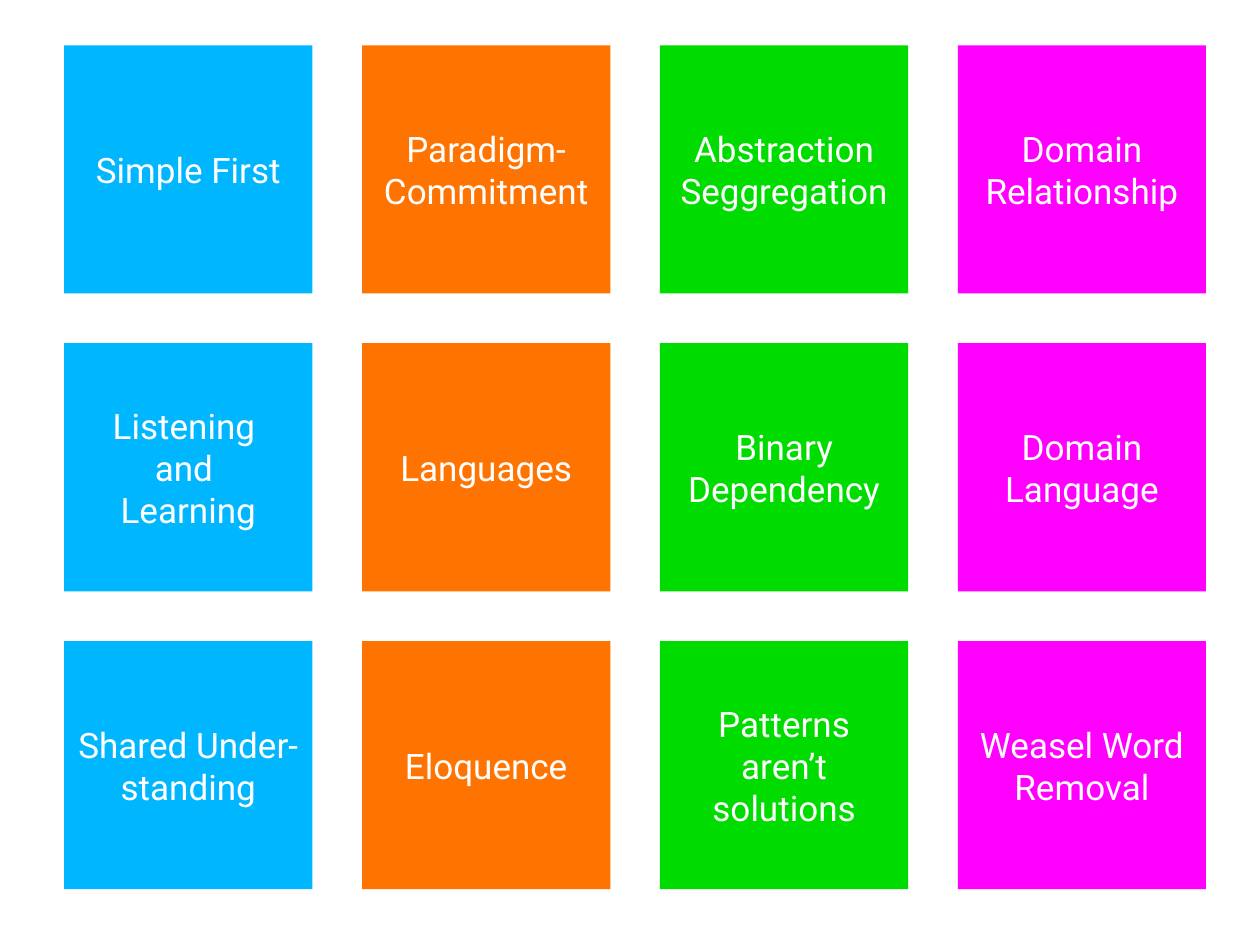
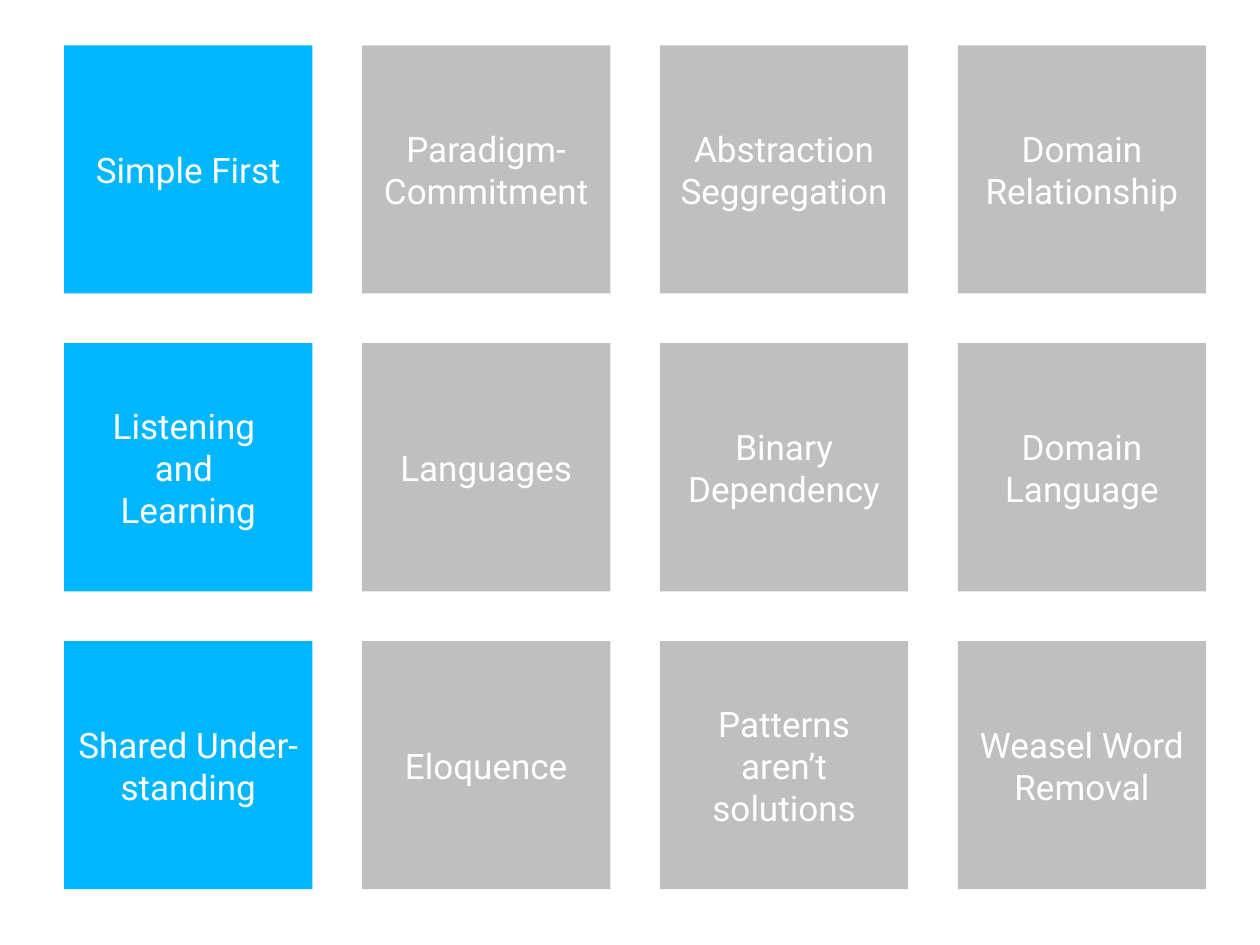
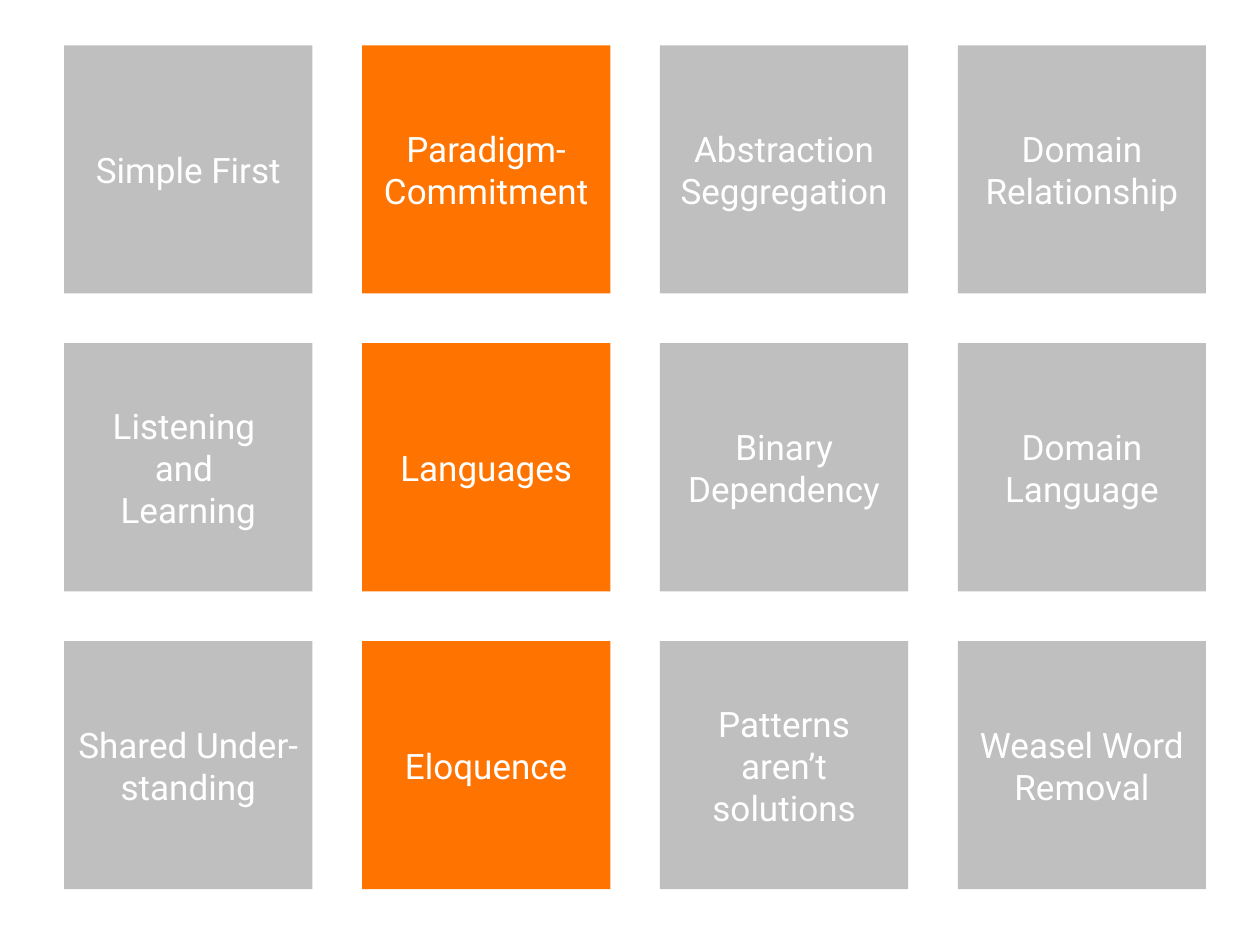
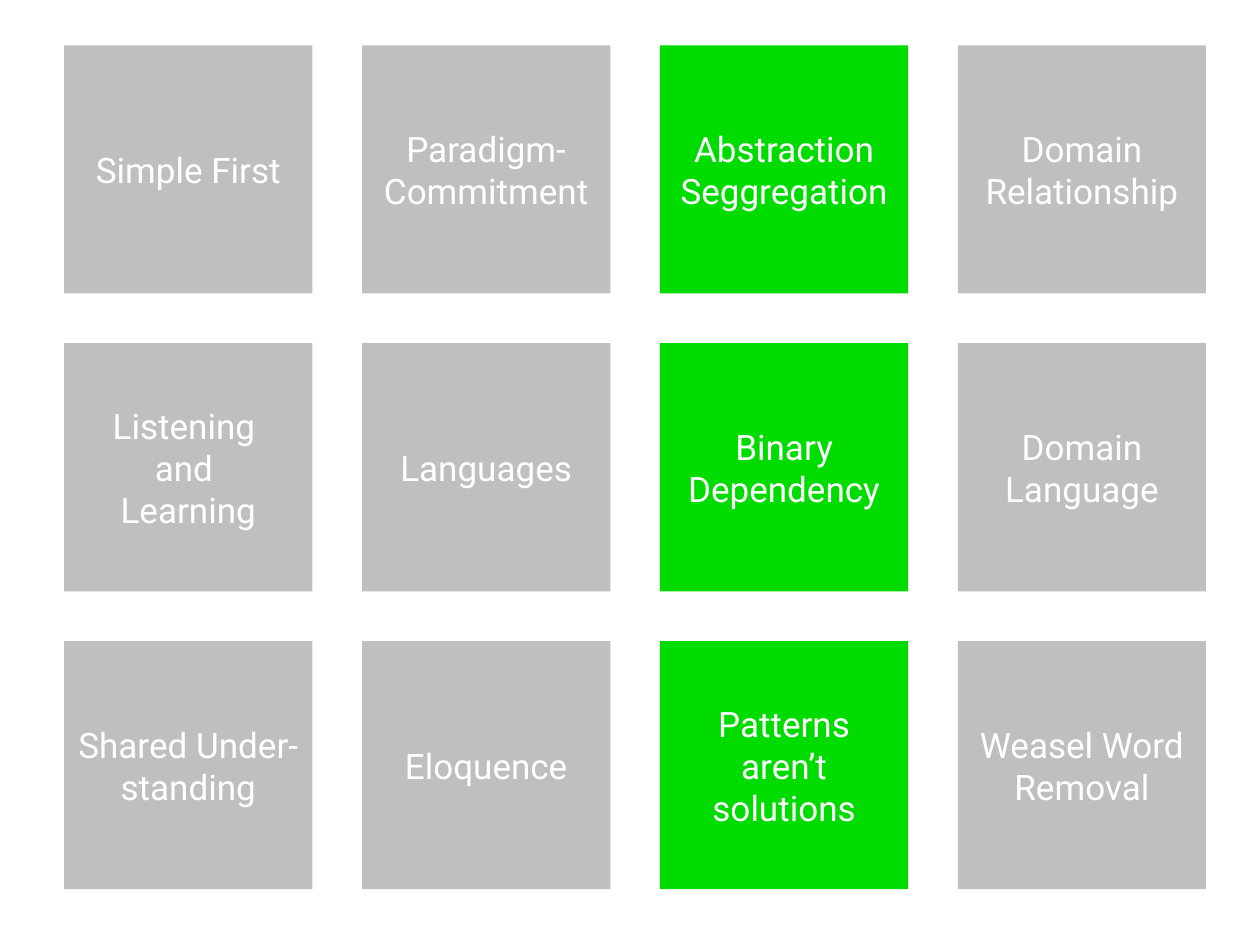
"""Build four slides of a principles grid, highlighting one column at a time."""
from pptx import Presentation
from pptx.dml.color import RGBColor
from pptx.enum.shapes import MSO_SHAPE
from pptx.enum.text import MSO_ANCHOR, PP_ALIGN
from pptx.util import Inches, Pt

BLUE = RGBColor(0x00, 0xB7, 0xFF)
ORANGE = RGBColor(0xFF, 0x74, 0x00)
GREEN = RGBColor(0x00, 0xDB, 0x00)
MAGENTA = RGBColor(0xFF, 0x00, 0xFF)
GREY = RGBColor(0xBF, 0xBF, 0xBF)
WHITE = RGBColor(0xFF, 0xFF, 0xFF)

FONT = "Roboto"
GRID_LEFT = 0.51
GRID_TOP = 0.36
TILE_SIZE = 1.97
TILE_PITCH = TILE_SIZE * 1.2

COLUMNS = [
    (BLUE, ["Simple First", "Listening \nand \nLearning", "Shared Under-standing"]),
    (ORANGE, ["Paradigm-Commitment", "Languages", "Eloquence"]),
    (GREEN, ["Abstraction Seggregation", "Binary Dependency", "Patterns aren’t solutions"]),
    (MAGENTA, ["Domain Relationship", "Domain Language", "Weasel Word Removal"]),
]
ALL_COLOURS = [colour for colour, _ in COLUMNS]
HIGHLIGHTS = [ALL_COLOURS, [BLUE], [ORANGE], [GREEN]]


def add_tile(page, column, row, label, colour):
    """Add one square with its centred label at a grid position."""
    tile = page.shapes.add_shape(
        MSO_SHAPE.RECTANGLE,
        Inches(GRID_LEFT + column * TILE_PITCH),
        Inches(GRID_TOP + row * TILE_PITCH),
        Inches(TILE_SIZE),
        Inches(TILE_SIZE),
    )
    tile.shadow.inherit = False
    tile.fill.solid()
    tile.fill.fore_color.rgb = colour
    tile.line.fill.background()
    frame = tile.text_frame
    frame.word_wrap = True
    frame.vertical_anchor = MSO_ANCHOR.MIDDLE
    para = frame.paragraphs[0]
    para.text = label
    para.alignment = PP_ALIGN.CENTER
    para.font.name = FONT
    para.font.size = Pt(20)
    para.font.color.rgb = WHITE


def add_principles_page(deck, highlighted):
    """Add a page whose columns are grey unless their colour is highlighted."""
    page = deck.slides.add_slide(deck.slide_layouts.get_by_name("Blank"))
    for column, (colour, labels) in enumerate(COLUMNS):
        fill = colour if colour in highlighted else GREY
        for row, label in enumerate(labels):
            add_tile(page, column, row, label, fill)


def main():
    """Build and save the deck."""
    deck = Presentation()
    deck.slide_width = Inches(10)
    deck.slide_height = Inches(7.5)
    for highlighted in HIGHLIGHTS:
        add_principles_page(deck, highlighted)
    deck.save("out.pptx")


if __name__ == "__main__":
    main()
